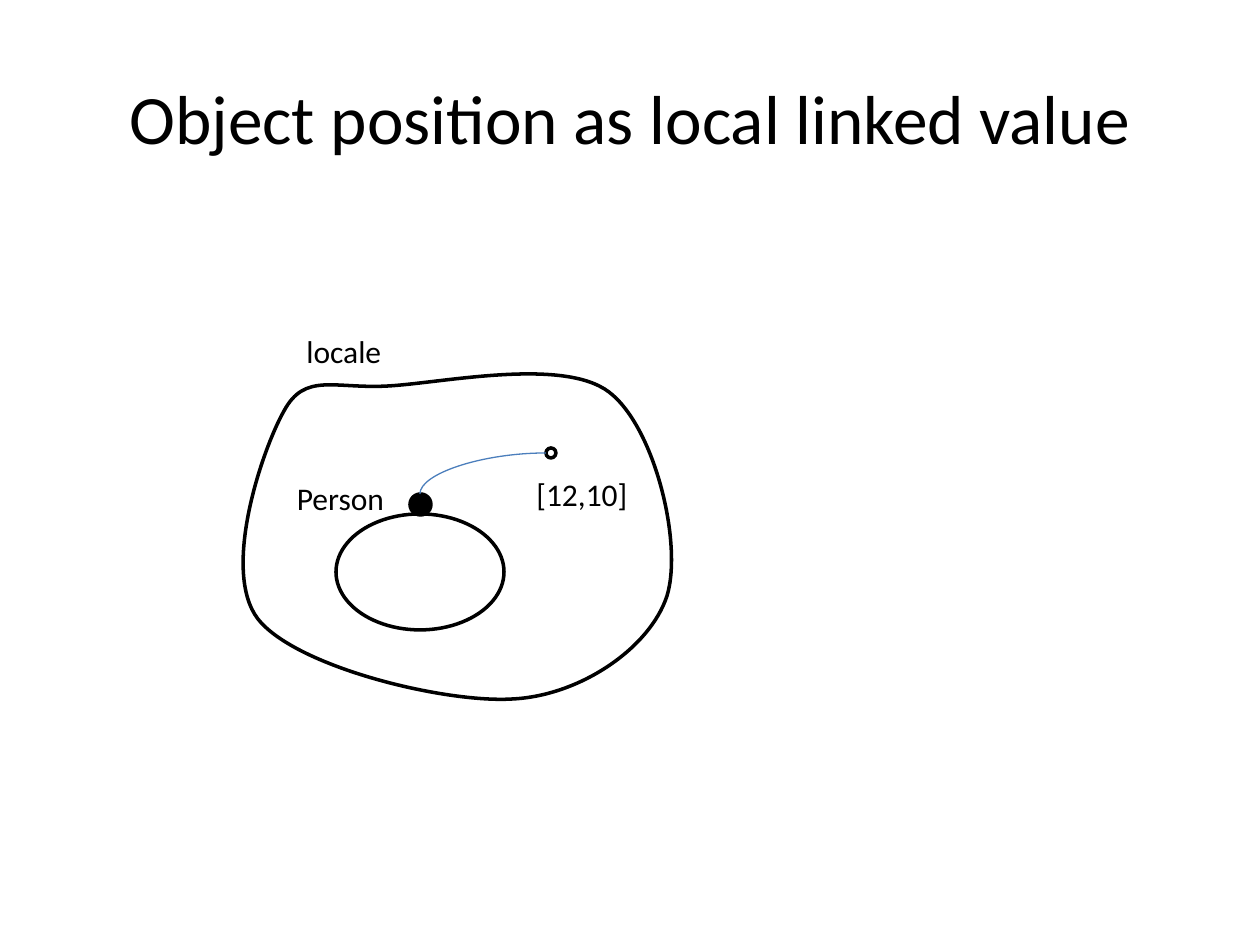
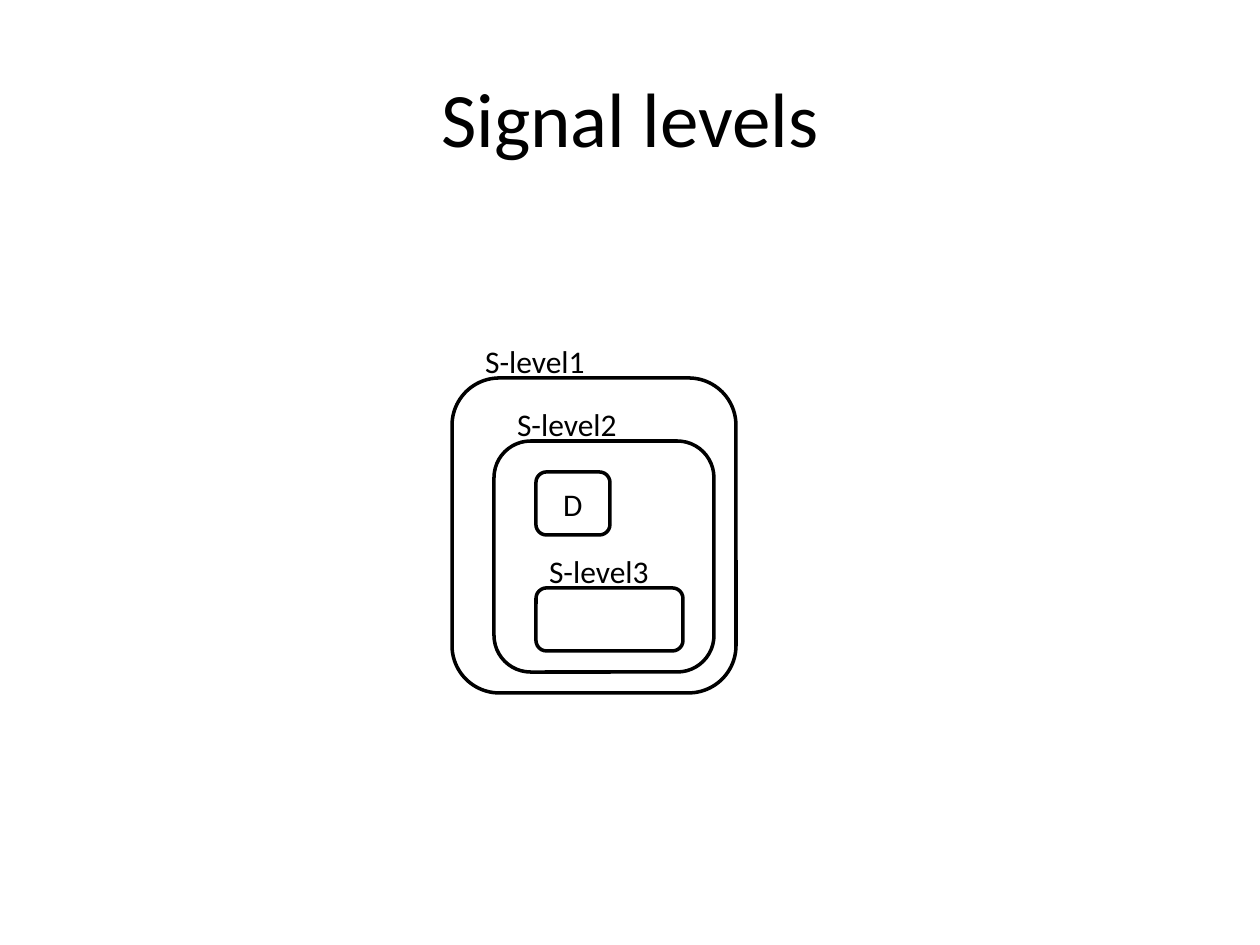
from dataclasses import dataclass
from lxml.etree import SubElement as Sub
from pptx import Presentation
from pptx.dml.color import RGBColor as RGB
from pptx.enum.shapes import MSO_CONNECTOR as Conn, MSO_SHAPE as Kind
from pptx.enum.text import MSO_ANCHOR as Anchor, MSO_AUTO_SIZE as Fit, PP_ALIGN as Align
from pptx.oxml.ns import qn
from pptx.util import Emu, Pt

SCALE = 914400 // 126


@dataclass(frozen=True)
class Theme:
    font: str = "Calibri"
    ink: RGB = RGB(0, 0, 0)
    paper: RGB = RGB(255, 255, 255)
    link: RGB = RGB(0x4B, 0x7E, 0xBC)
    label: float = 18
    head: float = 44
    long: float = 39.6
    edge: float = 2
    thin: float = 0.75


THEME = Theme()


def px(*vals):
    return [Emu(val * SCALE) for val in vals]


def write(frame, text, size, align):
    frame.text = text
    for para in frame.paragraphs:
        para.alignment = align
        for run in para.runs:
            run.font.name = THEME.font
            run.font.size = Pt(size)
            run.font.color.rgb = THEME.ink


def add_slide(deck, title, size):
    slide = deck.slides.add_slide(deck.slide_layouts[5])
    head = slide.shapes.title
    head.left, head.top, head.width, head.height = px(63, 38, 1134, 158)
    write(head.text_frame, title, size, Align.CENTER)
    head.text_frame.vertical_anchor = Anchor.MIDDLE
    head.text_frame.auto_size = Fit.NONE
    return slide


def add_label(slide, text, box, align=Align.CENTER):
    frame = slide.shapes.add_textbox(*px(*box)).text_frame
    write(frame, text, THEME.label, align)
    frame.word_wrap = False
    frame.auto_size = Fit.SHAPE_TO_FIT_TEXT


def style(shape, fill):
    shape.shadow.inherit = False
    if fill is None:
        shape.fill.background()
    else:
        shape.fill.solid()
        shape.fill.fore_color.rgb = fill
    shape.line.color.rgb = THEME.ink
    shape.line.width = Pt(THEME.edge)


def add_shape(slide, kind, box, fill=None, text=""):
    shape = slide.shapes.add_shape(kind, *px(*box))
    style(shape, fill)
    if text:
        write(shape.text_frame, text, THEME.label, Align.CENTER)
        shape.text_frame.vertical_anchor = Anchor.MIDDLE


def add_blob(slide, start, curves):
    pen = slide.shapes.build_freeform(*start, scale=SCALE)
    pen.add_line_segments([point for curve in curves for point in curve], close=True)
    shape = pen.convert_to_shape()
    style(shape, None)
    lines = list(shape.element.iter(qn("a:lnTo")))
    for first in range(0, len(lines), 3):
        group = lines[first:first + 3]
        group[0].addprevious(bend := group[0].makeelement(qn("a:cubicBezTo")))
        for line in group:
            bend.append(line[0])
            line.getparent().remove(line)


def add_curve(slide, start, end):
    link = slide.shapes.add_connector(Conn.CURVE, *px(*start, *end))
    link.line.color.rgb = THEME.link
    link.line.width = Pt(THEME.thin)
    props = link.element.spPr
    props.find(qn("a:prstGeom")).set("prst", "curvedConnector2")
    Sub(props, qn("a:effectLst"))


def draw_locale(deck):
    slide = add_slide(deck, "Object position as local linked value", THEME.long)
    add_shape(slide, Kind.OVAL, (546, 448, 10, 10))
    add_label(slide, "[12,10]", (524, 469, 117, 50), Align.LEFT)
    add_shape(slide, Kind.OVAL, (336, 514, 168, 116), THEME.paper)
    add_shape(slide, Kind.OVAL, (410, 494, 21, 21), THEME.ink)
    add_curve(slide, (546, 453), (420, 494))
    add_label(slide, "Person", (284, 473, 113, 50))
    add_label(slide, "locale", (294, 326, 101, 50), Align.LEFT)
    add_blob(slide, (388, 386), [
        ((442, 383), (563, 357), (609, 392)),
        ((655, 427), (683, 544), (667, 596)),
        ((650, 648), (580, 696), (512, 699)),
        ((444, 703), (296, 667), (258, 619)),
        ((221, 571), (262, 450), (284, 411)),
        ((305, 372), (334, 389), (388, 386)),
    ])


def draw_levels(deck):
    slide = add_slide(deck, "Signal levels", THEME.head)
    levels = [
        ((452, 378, 284, 315), None),
        ((494, 441, 220, 231), THEME.paper),
        ((536, 588, 147, 63), None),
    ]
    for rank, (box, fill) in enumerate(levels):
        add_shape(slide, Kind.ROUNDED_RECTANGLE, box, fill)
        add_label(slide, f"S-level{rank + 1}", (472 + 32 * rank, box[1] - 42, 126, 50))
    add_shape(slide, Kind.ROUNDED_RECTANGLE, (536, 472, 74, 63), THEME.paper, "D")


def main():
    deck = Presentation()
    deck.slide_width, deck.slide_height = px(1260, 945)
    draw_locale(deck)
    draw_levels(deck)
    deck.save("out.pptx")


main()
